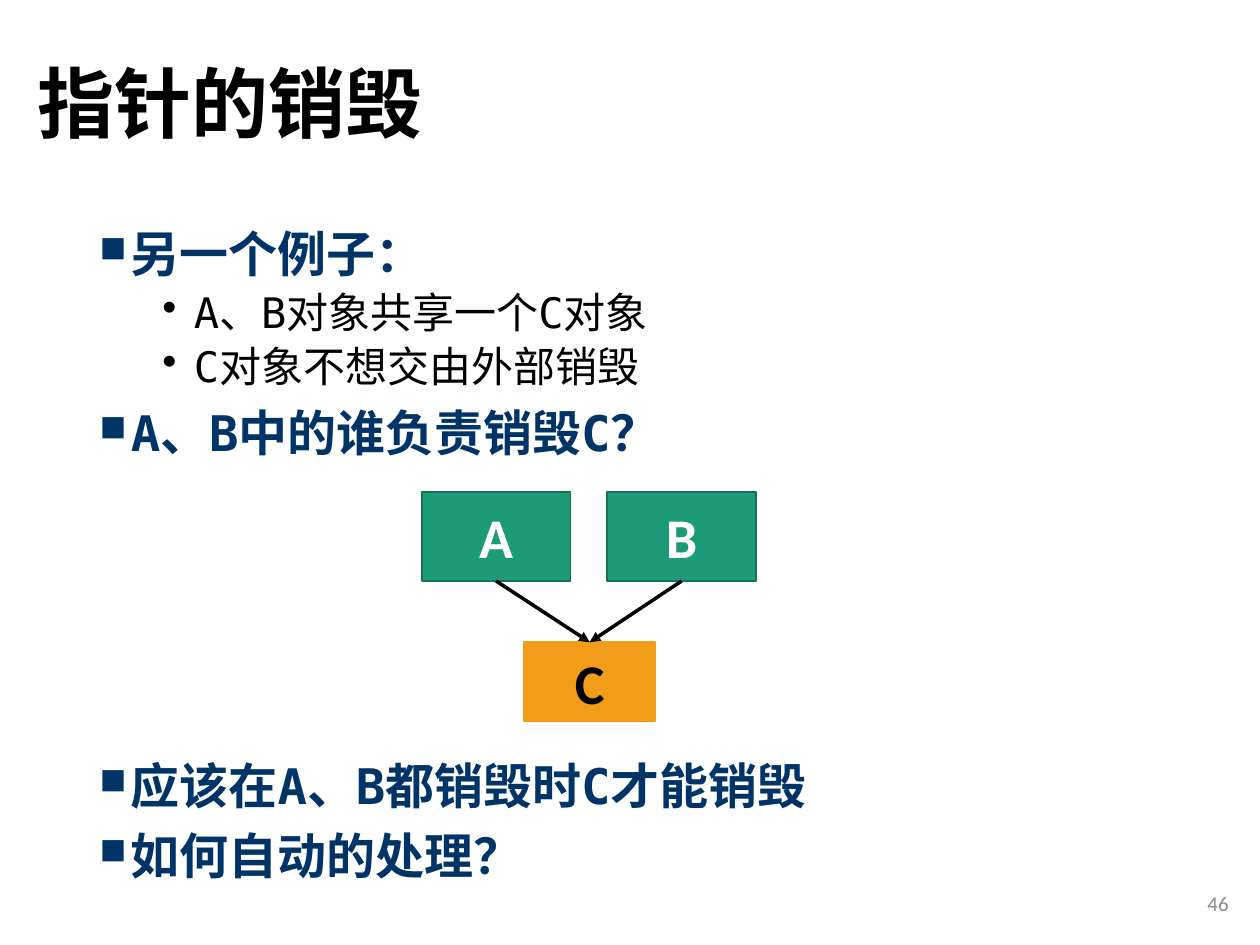
from dataclasses import dataclass

from lxml import etree
from pptx import Presentation
from pptx import util as u
from pptx.dml.color import RGBColor
from pptx.enum import shapes, text
from pptx.oxml.ns import qn

COLORS = {
    "ink": "000000",
    "heading": "003366",
    "number": "8C8C8C",
    "owner": "1D9A78",
    "owner_edge": "157259",
    "shared": "F19D19",
    "light": "FFFFFF",
}
TITLE_FONT, BODY_FONT, LABEL_FONT = "Noto Sans CJK SC", "DejaVu Sans Mono", "Calibri"


@dataclass(frozen=True)
class Level:
    bullet: str
    bullet_percent: int
    margin: float
    space_before: float
    size: float
    color: str
    bold: bool


@dataclass(frozen=True)
class Node:
    label: str
    left: float
    top: float
    width: float
    height: float
    fill: str
    edge: str
    label_color: str


POINT = Level("■", 75, 18, 10, 28, "heading", True)
DETAIL = Level("•", 100, 54, 5, 24, "ink", False)
HANGING = 18

QUESTION = [
    (POINT, "另一个例子："),
    (DETAIL, "A、B对象共享一个C对象"),
    (DETAIL, "C对象不想交由外部销毁"),
    (POINT, "A、B中的谁负责销毁C？"),
]
ANSWER = [
    (POINT, "应该在A、B都销毁时C才能销毁"),
    (POINT, "如何自动的处理？"),
]

OWNERS = [
    Node(label, left, 281, 85, 51, "owner", "owner_edge", "light")
    for label, left in (("A", 241), ("B", 347))
]
SHARED = Node("C", 299.5, 367, 75, 45, "shared", "shared", "ink")


def rgb(name: str) -> RGBColor:
    return RGBColor.from_string(COLORS[name])


def style(font, face: str, size: float, color: str, bold: bool = False) -> None:
    font.name, font.size, font.bold = face, u.Pt(size), bold
    font.color.rgb = rgb(color)


def add_frame(slide, left: float, top: float, width: float, height: float,
              anchor=text.MSO_ANCHOR.TOP):
    box = slide.shapes.add_textbox(u.Pt(left), u.Pt(top), u.Pt(width), u.Pt(height))
    frame = box.text_frame
    frame.word_wrap = True
    frame.vertical_anchor = anchor
    return frame


def set_bullet(paragraph, level: Level) -> None:
    props = paragraph._p.get_or_add_pPr()
    props.set("marL", str(u.Pt(level.margin)))
    props.set("indent", str(u.Pt(-HANGING)))
    etree.SubElement(props, qn("a:buSzPct")).set("val", str(level.bullet_percent * 1000))
    etree.SubElement(props, qn("a:buChar")).set("char", level.bullet)


def add_bullets(slide, items: list[tuple[Level, str]], top: float, height: float) -> None:
    frame = add_frame(slide, 49.7, top, 633.6, height)
    frame.text = "\n".join(wording for _, wording in items)
    for index, (paragraph, (level, _)) in enumerate(zip(frame.paragraphs, items)):
        set_bullet(paragraph, level)
        paragraph.line_spacing = 0.9
        paragraph.space_before = u.Pt(level.space_before if index else 0)
        style(paragraph.runs[0].font, BODY_FONT, level.size, level.color, level.bold)


def add_node(slide, node: Node):
    box = slide.shapes.add_shape(
        shapes.MSO_SHAPE.RECTANGLE,
        u.Pt(node.left), u.Pt(node.top), u.Pt(node.width), u.Pt(node.height))
    box.shadow.inherit = False
    box.fill.solid()
    box.fill.fore_color.rgb = rgb(node.fill)
    box.line.color.rgb = rgb(node.edge)
    box.line.width = u.Pt(1)
    frame = box.text_frame
    frame.text = node.label
    frame.vertical_anchor = text.MSO_ANCHOR.MIDDLE
    label = frame.paragraphs[0]
    label.alignment = text.PP_ALIGN.CENTER
    style(label.runs[0].font, LABEL_FONT, 32, node.label_color, True)
    return box


def add_pointer(slide, owner, target) -> None:
    """Draw an arrow from the owner's bottom centre to the target's top centre."""
    arrow = slide.shapes.add_connector(shapes.MSO_CONNECTOR.STRAIGHT, 0, 0, 0, 0)
    arrow.begin_connect(owner, 2)
    arrow.end_connect(target, 0)
    arrow.line.color.rgb = rgb("ink")
    arrow.line.width = u.Pt(2)
    etree.SubElement(arrow.line._get_or_add_ln(), qn("a:tailEnd")).set("type", "triangle")
    etree.SubElement(arrow._element.spPr, qn("a:effectLst"))


def main() -> None:
    deck = Presentation()
    deck.slide_width, deck.slide_height = u.Pt(720), u.Pt(540)
    slide = deck.slides.add_slide(deck.slide_layouts[6])

    title = add_frame(slide, 14.4, 9.4, 620.6, 104.4, text.MSO_ANCHOR.MIDDLE)
    title.text = "指针的销毁"
    title.paragraphs[0].line_spacing = 0.9
    style(title.paragraphs[0].runs[0].font, TITLE_FONT, 44, "ink", True)

    add_bullets(slide, QUESTION, top=128.2, height=144)
    add_bullets(slide, ANSWER, top=432, height=81)

    number = add_frame(slide, 547.2, 501.8, 162, 28.8, text.MSO_ANCHOR.MIDDLE)
    number.text = "46"
    number.paragraphs[0].alignment = text.PP_ALIGN.RIGHT
    style(number.paragraphs[0].runs[0].font, LABEL_FONT, 12, "number")

    owners = [add_node(slide, node) for node in OWNERS]
    shared = add_node(slide, SHARED)
    for owner in owners:
        add_pointer(slide, owner, shared)

    deck.save("out.pptx")


if __name__ == "__main__":
    main()
